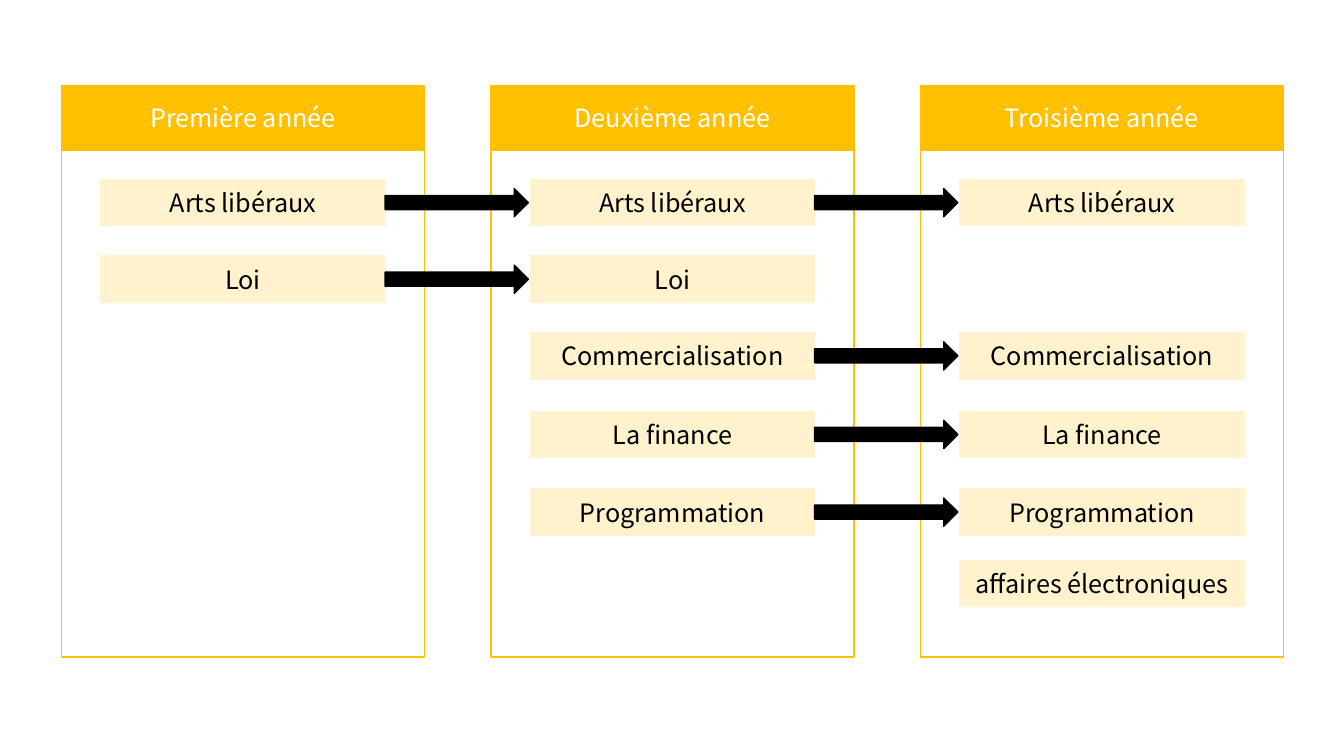
from pptx import Presentation
from pptx.dml.color import RGBColor
from pptx.enum.shapes import MSO_SHAPE
from pptx.enum.text import MSO_ANCHOR, PP_ALIGN
from pptx.util import Inches, Pt

GOLD, CREAM, BLACK, WHITE = "FFC000", "FFF2CC", "000000", "FFFFFF"


def rgb(value):
    """Turn a hex string into a colour."""
    return RGBColor.from_string(value)


def add_block(kind, box, fill, line, text="", color=BLACK):
    """Add a preset shape at box (inches) with optional centred text."""
    sp = s.shapes.add_shape(kind, *[Inches(v) for v in box])
    sp.shadow.inherit = False
    if fill:
        sp.fill.solid()
        sp.fill.fore_color.rgb = rgb(fill)
    else:
        sp.fill.background()
    sp.line.color.rgb = rgb(line)
    sp.line.width = Pt(1)
    if text:
        tf = sp.text_frame
        tf.word_wrap = True
        tf.vertical_anchor = MSO_ANCHOR.MIDDLE
        p = tf.paragraphs[0]
        p.alignment = PP_ALIGN.CENTER
        r = p.add_run()
        r.text = text
        font = {"name": "Noto Sans CJK JP", "size": Pt(18)}
        for key, value in font.items():
            setattr(r.font, key, value)
        r.font.color.rgb = rgb(color)


prs = Presentation()
prs.slide_width, prs.slide_height = Inches(13.33), Inches(7.5)
s = prs.slides.add_slide(prs.slide_layouts[6])

# Top of each course's row, shared by all years
course_tops = {
    "Arts libéraux": 1.78,
    "Loi": 2.54,
    "Commercialisation": 3.3,
    "La finance": 4.08,
    "Programmation": 4.85,
    "affaires électroniques": 5.56,
}
courses = list(course_tops)
years = [
    ("Première année", courses[:2]),
    ("Deuxième année", courses[:5]),
    ("Troisième année", courses[:1] + courses[2:]),
]
year_left, year_step, year_w = 0.61, 4.26, 3.6
course_w, course_h = 2.82, 0.46
arrow_w, arrow_h = 1.42, 0.28
margin = (year_w - course_w) / 2

# Year panels with their courses
for i, (year, taught) in enumerate(years):
    left = year_left + i * year_step
    add_block(MSO_SHAPE.RECTANGLE, (left, 1.48, year_w, 5.04), None, GOLD)
    add_block(MSO_SHAPE.RECTANGLE, (left, 0.85, year_w, 0.64), GOLD, GOLD,
              year, WHITE)
    for course in taught:
        box = (left + margin, course_tops[course], course_w, course_h)
        add_block(MSO_SHAPE.RECTANGLE, box, CREAM, CREAM, course)

# An arrow wherever a course continues into the next year
for i, (year, taught) in enumerate(years[:-1]):
    left = year_left + i * year_step + margin + course_w
    for course in taught:
        if course in years[i + 1][1]:
            top = course_tops[course] + (course_h - arrow_h) / 2
            add_block(MSO_SHAPE.RIGHT_ARROW, (left, top, arrow_w, arrow_h),
                      BLACK, BLACK)

prs.save("out.pptx")
